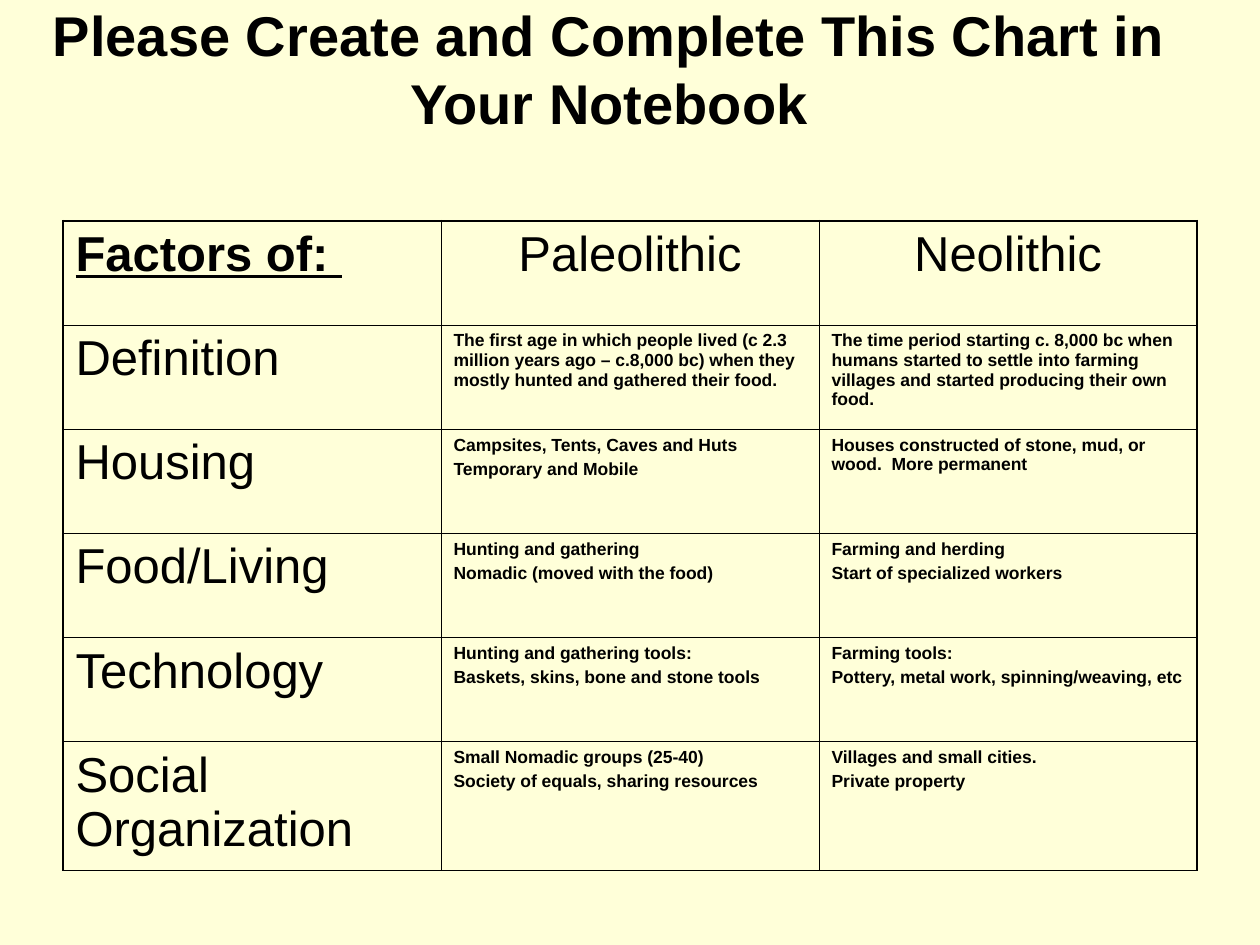
from lxml.etree import SubElement
from pptx import Presentation
from pptx.dml.color import RGBColor
from pptx.enum.text import MSO_ANCHOR as Anchor, MSO_AUTO_SIZE as AutoSize, PP_ALIGN as Align
from pptx.oxml.ns import qn
from pptx.util import Cm, Pt

INK, PAPER = "000000", "FFFFD9"
THIN, THICK = 0.45, 1.08
TITLE = {"size": Pt(32), "bold": True}
LABEL = {"size": Pt(28), "bold": False}
CORNER = {"size": Pt(28), "bold": True, "underline": True}
DETAIL = {"size": Pt(10), "bold": True}

FACTORS = [
    ("Factors of: ", "Paleolithic", "Neolithic"),
    ("Definition",
     "The first age in which people lived (c 2.3 million years ago – c.8,000 bc) "
     "when they mostly hunted and gathered their food.",
     "The time period starting c. 8,000 bc when humans started to settle into "
     "farming villages and started producing their own food."),
    ("Housing",
     "Campsites, Tents, Caves and Huts\nTemporary and Mobile",
     "Houses constructed of stone, mud, or wood.  More permanent"),
    ("Food/Living",
     "Hunting and gathering\nNomadic (moved with the food)",
     "Farming and herding\nStart of specialized workers"),
    ("Technology",
     "Hunting and gathering tools:\nBaskets, skins, bone and stone tools",
     "Farming tools:\nPottery, metal work, spinning/weaving, etc"),
    ("Social Organization",
     "Small Nomadic groups (25-40)\nSociety of equals, sharing resources",
     "Villages and small cities.\nPrivate property"),
]


def color(value):
    return RGBColor.from_string(value)


def write(frame, text, style, align):
    frame.text = text
    for index, paragraph in enumerate(frame.paragraphs):
        paragraph.alignment = align
        if index:
            paragraph.space_before = Pt(2.5)
        for run in paragraph.runs:
            for name, value in {"name": "Arial", **style}.items():
                setattr(run.font, name, value)
            run.font.color.rgb = color(INK)


def draw_borders(cell, widths):
    properties = cell._tc.get_or_add_tcPr()
    for side, width in widths.items():
        line = SubElement(properties, qn(f"a:ln{side}"), w=str(Pt(width)))
        fill = SubElement(line, qn("a:solidFill"))
        SubElement(fill, qn("a:srgbClr"), val=INK)


def place_title(slide, left, top, width, height):
    title = slide.shapes.title
    box = {"left": left, "top": top, "width": width, "height": height}
    for name, value in box.items():
        setattr(title, name, value)
    frame = title.text_frame
    frame.word_wrap = True
    frame.auto_size = AutoSize.NONE
    frame.vertical_anchor = Anchor.MIDDLE
    write(frame, "Please Create and Complete This Chart in Your Notebook", TITLE, Align.CENTER)


def place_factors(slide, left, top, width, height):
    last_row, last_column = len(FACTORS) - 1, len(FACTORS[0]) - 1
    table = slide.shapes.add_table(
        last_row + 1, last_column + 1, left, top, width, height).table
    for flag in ("first_row", "horz_banding"):
        setattr(table, flag, False)
    for column in table.columns:
        column.width = width // (last_column + 1)
    row_height = Cm(2.1)
    for row in table.rows:
        row.height = row_height
    table.rows[last_row].height = height - row_height * last_row

    for r, entries in enumerate(FACTORS):
        for c, text in enumerate(entries):
            cell = table.cell(r, c)
            style = CORNER if r == c == 0 else LABEL if r == 0 or c == 0 else DETAIL
            write(cell.text_frame, text, style, Align.CENTER if r == 0 < c else Align.LEFT)
            outer = {"L": c == 0, "R": c == last_column, "T": r == 0, "B": r == last_row}
            draw_borders(cell, {side: THICK if edge else THIN for side, edge in outer.items()})
            cell.fill.background()


def main():
    deck = Presentation()
    deck.slide_width, deck.slide_height = Cm(25.4), Cm(19.05)
    slide = deck.slides.add_slide(deck.slide_layouts[5])
    background = slide.background.fill
    background.solid()
    background.fore_color.rgb = color(PAPER)
    place_title(slide, Cm(0.43), Cm(0), Cm(23.7), Cm(2.75))
    place_factors(slide, Cm(1.27), Cm(4.45), Cm(22.86), Cm(13.1))
    deck.save("out.pptx")


if __name__ == "__main__":
    main()
